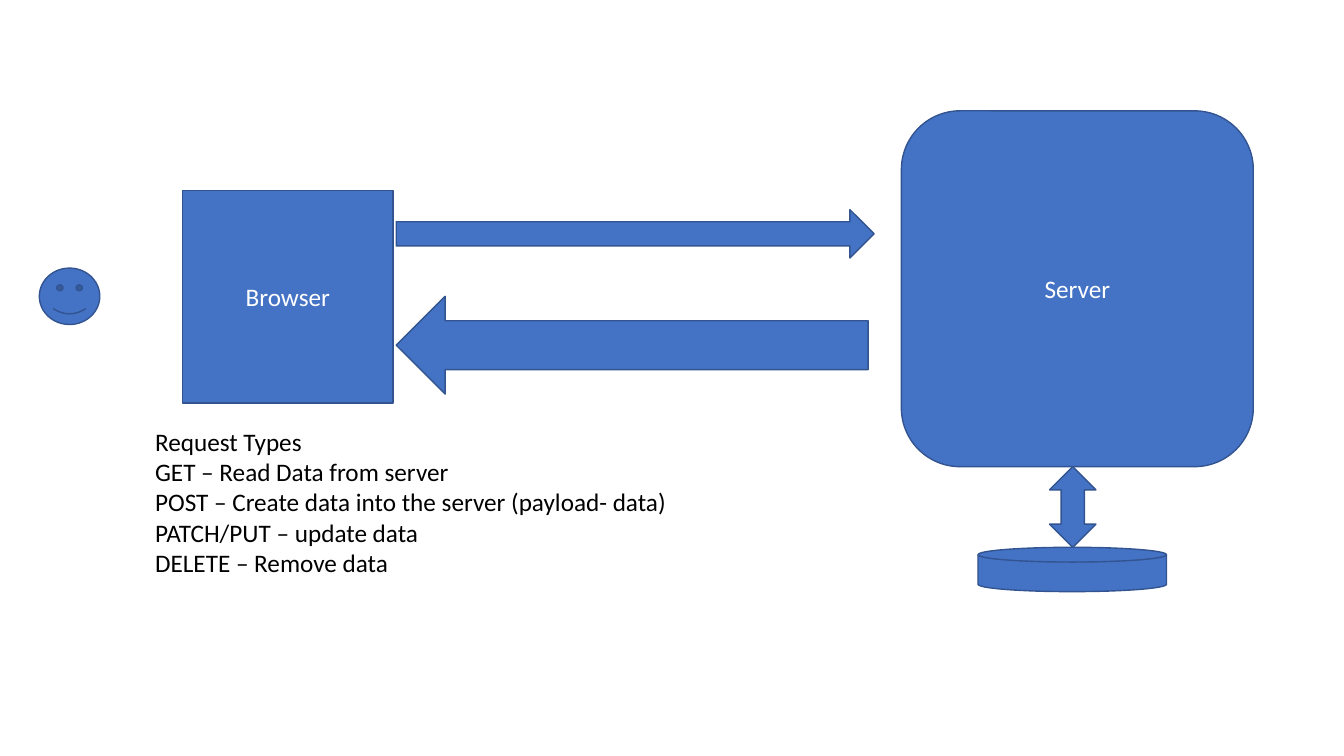
from pptx import Presentation
from pptx.dml.color import RGBColor
from pptx.enum import shapes, text
from pptx.util import Inches, Pt


def style_text(para, color):
    para.font.name = "Calibri"
    para.font.size = Pt(18)
    para.font.color.rgb = RGBColor.from_string(color)


deck = Presentation()
deck.slide_width = Inches(13.33)
deck.slide_height = Inches(7.5)
page = deck.slides.add_slide(deck.slide_layouts[6])

kinds = shapes.MSO_SHAPE
diagram = [
    (kinds.RECTANGLE, 1.81, 1.89, 2.09, 2.11, "Browser"),
    (kinds.SMILEY_FACE, 0.39, 2.66, 0.6, 0.56, ""),
    (kinds.RIGHT_ARROW, 3.93, 2.08, 4.74, 0.48, ""),
    (kinds.ROUNDED_RECTANGLE, 8.94, 1.1, 3.49, 3.53, "Server"),
    (kinds.FLOWCHART_MAGNETIC_DISK, 9.7, 5.43, 1.87, 0.44, ""),
    (kinds.UP_DOWN_ARROW, 10.41, 4.63, 0.46, 0.8, ""),
    (kinds.LEFT_ARROW, 3.93, 2.94, 4.68, 0.97, ""),
]
for kind, left, top, width, height, label in diagram:
    shape = page.shapes.add_shape(
        kind, Inches(left), Inches(top), Inches(width), Inches(height)
    )
    shape.shadow.inherit = False
    shape.fill.solid()
    shape.fill.fore_color.rgb = RGBColor.from_string("4472C4")
    shape.line.color.rgb = RGBColor.from_string("325491")
    shape.line.width = Pt(1)
    if label:
        shape.text_frame.text = label
        shape.text_frame.vertical_anchor = text.MSO_ANCHOR.MIDDLE
        para = shape.text_frame.paragraphs[0]
        para.alignment = text.PP_ALIGN.CENTER
        style_text(para, "FFFFFF")

request_types = [
    "Request Types",
    "GET – Read Data from server",
    "POST – Create data into the server (payload- data)",
    "PATCH/PUT – update data",
    "DELETE – Remove data",
]
box = page.shapes.add_textbox(Inches(1.44), Inches(4.18), Inches(7.24), Inches(1.92))
box.text_frame.word_wrap = True
box.text_frame.auto_size = text.MSO_AUTO_SIZE.SHAPE_TO_FIT_TEXT
box.text_frame.text = "\n".join(request_types)
for para in box.text_frame.paragraphs:
    style_text(para, "000000")

deck.save("out.pptx")
